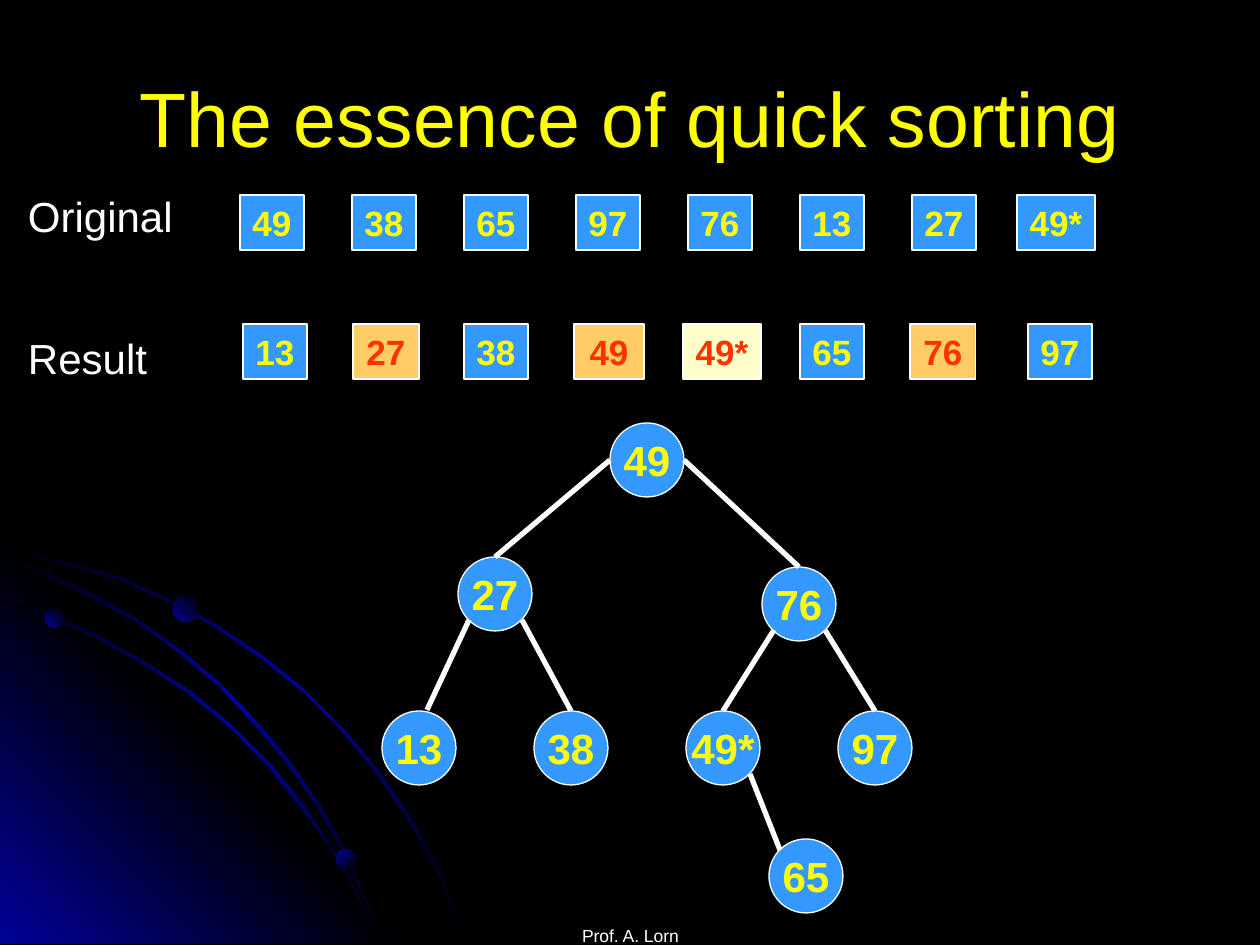
import pptx
import pptx.util
import pptx.dml.color
import pptx.enum.shapes
import pptx.enum.text
import pptx.oxml
import pptx.oxml.ns

PX = 914400 / 126  # EMU per pixel
THEME = {
    "font": "Arial", "background": "000000", "glow": "010199",
    "title": "FFFF00", "text": "FFFFFF", "line": "FFFFFF",
    "blue": "3399FF", "orange": "FFCC66", "cream": "FFFFCC",
    "number": "FFFF00", "pivot": "FF3300",
    "title_size": 44, "label_size": 24, "box_size": 20, "node_size": 24, "footer_size": 10,
}
RGB = pptx.dml.color.RGBColor.from_string
SHAPE = pptx.enum.shapes.MSO_SHAPE
ALIGN = pptx.enum.text.PP_ALIGN
ANCHOR = pptx.enum.text.MSO_ANCHOR


def emu(*lengths):
    return [pptx.util.Emu(round(length * PX)) for length in lengths]


def write(shape, text, size, color, bold=False, align=ALIGN.CENTER,
          anchor=ANCHOR.MIDDLE, wrap=False, side=13, bottom=6):
    frame = shape.text_frame
    frame.word_wrap = wrap
    frame.vertical_anchor = anchor
    frame.margin_left, frame.margin_right, frame.margin_top, frame.margin_bottom = emu(
        side, side, 6, bottom)
    paragraph = frame.paragraphs[0]
    paragraph.alignment = align
    run = paragraph.add_run()
    run.text = text
    run.font.name = THEME["font"]
    run.font.size = pptx.util.Pt(THEME[size])
    run.font.bold = bold
    run.font.color.rgb = RGB(THEME[color])


presentation = pptx.Presentation()
presentation.slide_width, presentation.slide_height = emu(1260, 945)
slide = presentation.slides.add_slide(presentation.slide_layouts[6])
slide.background.fill.solid()
slide.background.fill.fore_color.rgb = RGB(THEME["background"])

# Corner decoration: outlines, then dots, each with its gradient
dark, glow = THEME["background"], THEME["glow"]
outer_arc = [
    (72, 563), (35, 556), (0, 548), (0, 552), (35, 558), (71, 566), (122, 581), (170, 602),
    (218, 629), (262, 659), (304, 692), (341, 730), (375, 771), (407, 818), (425, 848),
    (441, 879), (454, 911), (466, 944), (469, 944), (456, 911), (444, 879), (427, 848),
    (410, 816), (378, 770), (343, 728), (305, 690), (263, 656), (219, 626), (171, 601),
    (123, 578)]
corner = [(406, 944), (0, 944), (0, 538)]
lower_arc = [
    (359, 900), (370, 922), (379, 944), (382, 944), (373, 920), (360, 897), (335, 852),
    (305, 806), (271, 764), (232, 726), (192, 692), (147, 663), (100, 636), (52, 615),
    (0, 599), (0, 601), (49, 617), (97, 639), (145, 665), (189, 694), (231, 728),
    (268, 766), (302, 809), (334, 853)]
middle_arc = [
    (0, 557), (0, 559), (45, 576), (93, 599), (137, 622), (179, 653), (218, 685), (255, 725),
    (286, 762), (318, 808), (336, 840), (353, 874), (368, 910), (379, 944), (382, 944),
    (370, 907), (355, 873), (339, 838), (320, 805), (289, 760), (257, 722), (221, 684),
    (181, 650), (140, 621), (96, 596), (49, 573)]
decoration = []
for points, colors, angle in [
        (outer_arc, (dark, glow, dark), 45), (corner, (glow, dark, glow), 315),
        (lower_arc, (dark, glow, dark), 45), (middle_arc, (dark, glow, dark), 45)]:
    builder = slide.shapes.build_freeform(*points[0], scale=PX)
    builder.add_line_segments(points[1:], close=True)
    decoration.append((builder.convert_to_shape(), colors, angle))
for left, top, size, angle in [(45, 609, 19, 315), (336, 849, 20, 45), (173, 596, 26, 315)]:
    dot = slide.shapes.add_shape(SHAPE.OVAL, *emu(left, top, size, size))
    decoration.append((dot, (glow, dark), angle))
for shape, colors, angle in decoration:
    shape.shadow.inherit = False
    shape.line.fill.background()
    stops = "".join(
        f'<a:gs pos="{100000 * index // (len(colors) - 1)}"><a:srgbClr val="{color}"/></a:gs>'
        for index, color in enumerate(colors))
    gradient = pptx.oxml.parse_xml(
        f'<a:gradFill {pptx.oxml.ns.nsdecls("a")} rotWithShape="1"><a:gsLst>{stops}</a:gsLst>'
        f'<a:lin ang="{angle * 60000}" scaled="1"/></a:gradFill>')
    shape.line._ln.addprevious(gradient)

# Title, row labels and footer
title = slide.shapes.add_textbox(*emu(63, 38, 1134, 158))
write(title, "The essence of quick sorting", "title_size", "title", wrap=True)
for text, top, width in [("Original", 185, 180), ("Result", 327, 156)]:
    label = slide.shapes.add_textbox(*emu(15, top, width, 63))
    write(label, text, "label_size", "text", align=ALIGN.LEFT, anchor=ANCHOR.TOP, wrap=True)
footer = slide.shapes.add_textbox(*emu(431, 883, 399, 63))
write(footer, "Prof. A. Lorn", "footer_size", "text", anchor=ANCHOR.BOTTOM, wrap=True, bottom=0)

# Number boxes: text, centre, top, width, fill, text colour
boxes = [(text, 272 + 112 * index, 195, 78 if text == "49*" else 64, "blue", "number")
         for index, text in enumerate(["49", "38", "65", "97", "76", "13", "27", "49*"])]
boxes += [(text, center, 324, width, fill, "number" if fill == "blue" else "pivot")
          for text, center, width, fill in [
              ("13", 275, 64, "blue"), ("27", 386, 66, "orange"), ("38", 496, 64, "blue"),
              ("49", 609, 70, "orange"), ("49*", 722, 78, "cream"), ("65", 832, 64, "blue"),
              ("76", 943, 66, "orange"), ("97", 1060, 64, "blue")]]
for text, center, top, width, fill, color in boxes:
    box = slide.shapes.add_shape(SHAPE.RECTANGLE, *emu(center - width // 2, top, width, 55))
    box.shadow.inherit = False
    box.fill.solid()
    box.fill.fore_color.rgb = RGB(THEME[fill])
    box.line.color.rgb = RGB(THEME["line"])
    box.line.width = pptx.util.Pt(0.75)
    write(box, text, "box_size", color, bold=True)

# Tree nodes: columns follow the sorted order, 65 hangs below
column = [382 + 76 * index for index in range(7)]
nodes = {}
for text, left, top in [
        ("49", column[3], 423), ("27", column[1], 557), ("76", column[5], 567),
        ("97", column[6], 711), ("49*", column[4], 711), ("38", column[2], 711),
        ("13", column[0], 711), ("65", 769, 839)]:
    node = slide.shapes.add_shape(SHAPE.OVAL, *emu(left, top, 74, 74))
    node.shadow.inherit = False
    node.fill.solid()
    node.fill.fore_color.rgb = RGB(THEME["blue"])
    node.line.color.rgb = RGB(THEME["line"])
    node.line.width = pptx.util.Pt(0.75)
    write(node, text, "node_size", "number", bold=True, side=0)
    nodes[text] = node

# Tree branches: start, end, and the child whose top they join
for start, end, child in [
        ((610, 460), (494, 557), "27"), ((469, 620), (427, 710), None),
        ((522, 620), (571, 711), "38"), ((774, 630), (723, 711), "49*"),
        ((684, 460), (799, 567), "76"), ((750, 774), (780, 850), None),
        ((825, 630), (875, 711), "97")]:
    branch = slide.shapes.add_connector(
        pptx.enum.shapes.MSO_CONNECTOR.STRAIGHT, *emu(*start, *end))
    branch.line.color.rgb = RGB(THEME["line"])
    branch.line.width = pptx.util.Pt(3)
    branch._element.spPr.append(
        pptx.oxml.parse_xml(f'<a:effectLst {pptx.oxml.ns.nsdecls("a")}/>'))
    if child:
        branch.end_connect(nodes[child], 0)

presentation.save("out.pptx")
